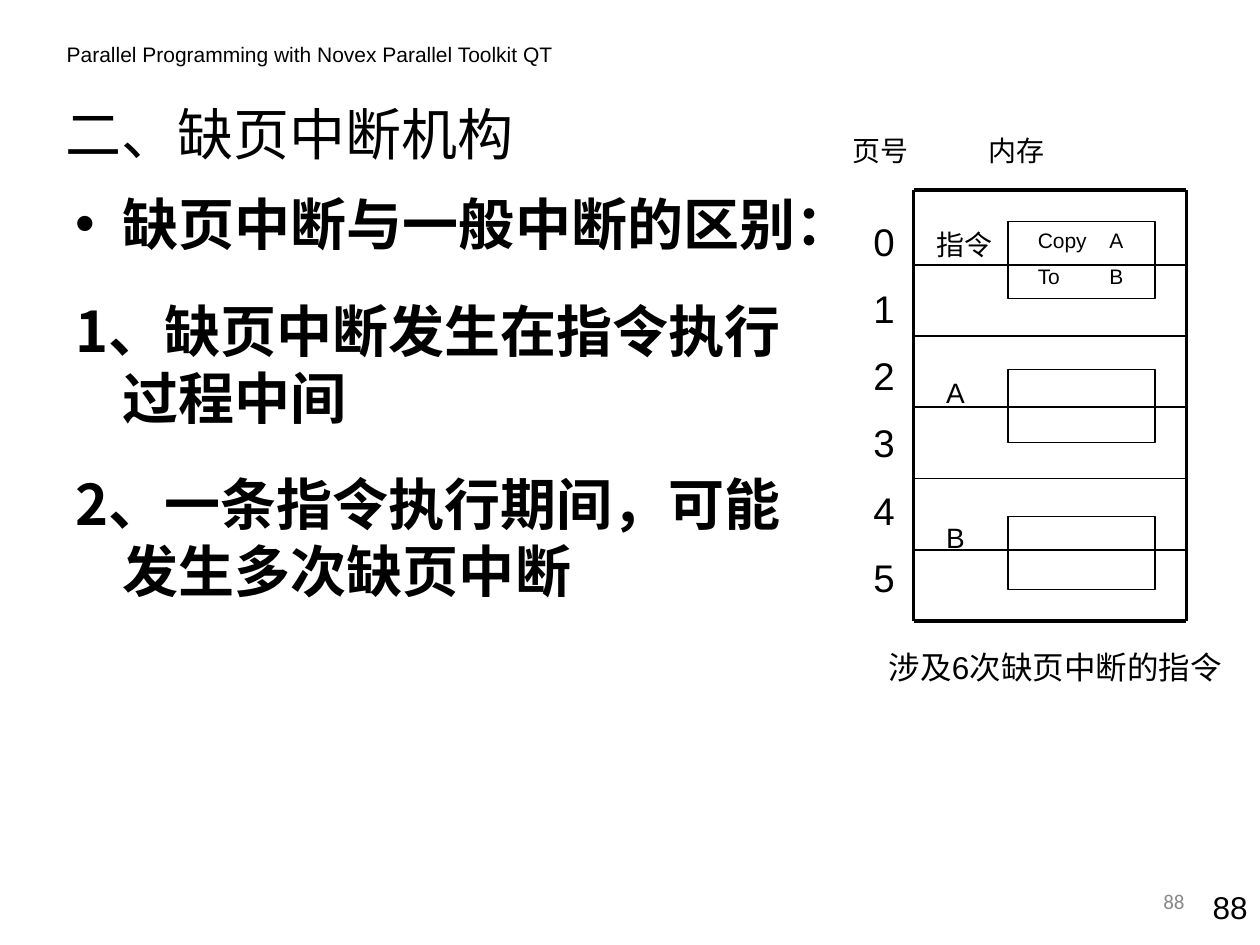
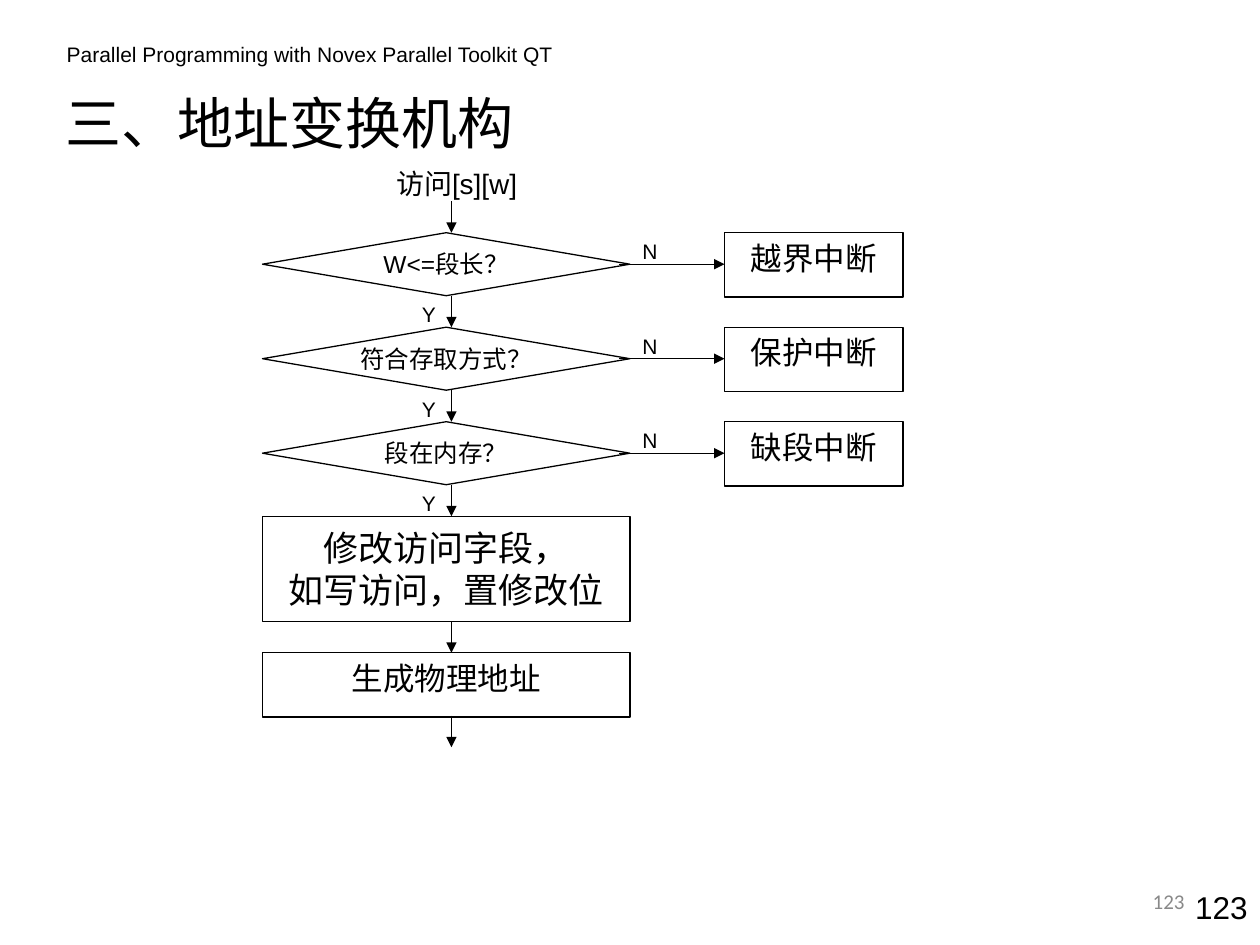
"""Build two slides on page-fault handling and segment address translation."""
from lxml import etree
from pptx import Presentation
from pptx.dml.color import RGBColor
from pptx.enum.shapes import MSO_CONNECTOR, MSO_SHAPE
from pptx.enum.text import MSO_ANCHOR, MSO_AUTO_SIZE, PP_ALIGN
from pptx.oxml.ns import qn
from pptx.util import Pt

STRAIGHT = MSO_CONNECTOR.STRAIGHT
RECTANGLE, DIAMOND = MSO_SHAPE.RECTANGLE, MSO_SHAPE.DIAMOND
TOP, MIDDLE = MSO_ANCHOR.TOP, MSO_ANCHOR.MIDDLE
LEFT, CENTER, RIGHT = PP_ALIGN.LEFT, PP_ALIGN.CENTER, PP_ALIGN.RIGHT
NO_AUTOFIT = MSO_AUTO_SIZE.NONE

COLORS = {"ink": "000000", "muted": "898989"}
HEADING_FONT = "Noto Sans CJK SC"
HEADER_TEXT = "Parallel Programming with Novex Parallel Toolkit QT"


def add_block(slide, bounds, lines, size, align=LEFT, outline=None, anchor=TOP,
              insets=(7.2, 3.6), gap=0, tab=None, font="Arial", color="ink"):
    """Add a text box, or an outlined shape, holding one paragraph per line."""
    bounds = [Pt(value) for value in bounds]
    if outline is None:
        shape = slide.shapes.add_textbox(*bounds)
    else:
        shape = slide.shapes.add_shape(outline, *bounds)
        shape.shadow.inherit = False
        shape.fill.background()
        shape.line.color.rgb = RGBColor.from_string(COLORS["ink"])
        shape.line.width = Pt(0.75)
    side, edge = Pt(insets[0]), Pt(insets[1])
    frame_format = {"word_wrap": True, "vertical_anchor": anchor,
                    "margin_left": side, "margin_right": side,
                    "margin_top": edge, "margin_bottom": edge}
    for name, value in frame_format.items():
        setattr(shape.text_frame, name, value)
    for index, line in enumerate(lines):
        paragraph = shape.text_frame.paragraphs[0] if index == 0 else shape.text_frame.add_paragraph()
        paragraph.alignment = align
        if index and gap:
            paragraph.space_before = Pt(gap)
        if tab:
            tab_list = etree.SubElement(paragraph._p.get_or_add_pPr(), qn("a:tabLst"))
            etree.SubElement(tab_list, qn("a:tab"), pos=str(Pt(tab)), algn="l")
        run = paragraph.add_run()
        run.text = line
        for name, value in {"name": font, "size": Pt(size)}.items():
            setattr(run.font, name, value)
        run.font.color.rgb = RGBColor.from_string(COLORS[color])


def add_line(slide, start, end, width=0.75, arrow=False):
    """Add a straight line, with an arrowhead at its end if asked."""
    connector = slide.shapes.add_connector(STRAIGHT, *[Pt(value) for value in (*start, *end)])
    connector.line.color.rgb = RGBColor.from_string(COLORS["ink"])
    connector.line.width = Pt(width)
    if arrow:
        etree.SubElement(connector.line._get_or_add_ln(), qn("a:tailEnd"), type="triangle")
    etree.SubElement(connector._element.spPr, qn("a:effectLst"))


presentation = Presentation()
presentation.slide_width, presentation.slide_height = Pt(720), Pt(540)

slides = []
for layout, title, title_bounds, number, number_left in [
    (1, "二、缺页中断机构", (30, 49, 408, 54), "88", 672),
    (5, "三、地址变换机构", (30, 43, 642, 54), "123", 660),
]:
    slide = presentation.slides.add_slide(presentation.slide_layouts[layout])
    slides.append(slide)
    heading = slide.shapes.title
    for name, value in zip(("left", "top", "width", "height"), title_bounds):
        setattr(heading, name, Pt(value))
    heading.text_frame.text = title
    heading.text_frame.auto_size = NO_AUTOFIT
    heading.text_frame.vertical_anchor = MIDDLE
    paragraph = heading.text_frame.paragraphs[0]
    paragraph.alignment = LEFT
    for name, value in {"name": HEADING_FONT, "size": Pt(32)}.items():
        setattr(paragraph.runs[0].font, name, value)
    paragraph.runs[0].font.color.rgb = RGBColor.from_string(COLORS["ink"])
    add_block(slide, (31, 20, 300, 22), [HEADER_TEXT], 12)
    add_block(slide, (number_left, 504, 720 - number_left, 36), [number], 18, RIGHT)
    add_block(slide, (516, 500.4, 168, 28.8), [number], 12, RIGHT, anchor=MIDDLE,
              font="Calibri", color="muted")

fault_slide, address_slide = slides

body = fault_slide.placeholders[1]
for name, value in {"left": 36, "top": 105, "width": 432, "height": 324}.items():
    setattr(body, name, Pt(value))
body.text_frame.auto_size = NO_AUTOFIT
differences = [
    "缺页中断与一般中断的区别：",
    "1、缺页中断发生在指令执行过程中间",
    "2、一条指令执行期间，可能发生多次缺页中断",
]
for index, difference in enumerate(differences):
    paragraph = body.text_frame.paragraphs[0] if index == 0 else body.text_frame.add_paragraph()
    paragraph.space_before = Pt(22.4 if index else 0)
    paragraph.line_spacing = Pt(38.3)
    if index:
        etree.SubElement(paragraph._p.get_or_add_pPr(), qn("a:buNone"))
    run = paragraph.add_run()
    run.text = difference
    for name, value in {"name": HEADING_FONT, "size": Pt(32), "bold": True}.items():
        setattr(run.font, name, value)
    run.font.color.rgb = RGBColor.from_string(COLORS["ink"])

memory_left, memory_right, memory_top, memory_bottom = 522, 678, 108.7, 355
page_height = 40.75
for page in range(5):
    page_line = memory_bottom - (page + 1) * page_height
    add_line(fault_slide, (memory_left, page_line), (memory_right, page_line), 1)
for edge in (memory_top, memory_bottom):
    add_line(fault_slide, (memory_left, edge), (memory_right, edge), 2.25)
for side in (memory_left, memory_right):
    add_line(fault_slide, (side, memory_top), (side, memory_bottom), 2.25)

for operand_top in (211, 295):
    add_block(fault_slide, (576, operand_top, 84, 42), [], 12, outline=RECTANGLE)
add_block(fault_slide, (576, 126.7, 84, 44), ["Copy\tA", "To\tB"], 12,
          outline=RECTANGLE, insets=(17, 3.6), gap=6, tab=41)
add_block(fault_slide, (492, 121, 42, 232), [str(page) for page in range(6)], 22, gap=12)
add_block(fault_slide, (528, 126.7, 48, 26.6), ["指令"], 16)
for operand, operand_top in (("A", 211), ("B", 294)):
    add_block(fault_slide, (522, operand_top, 48, 26.6), [operand], 16, CENTER)
add_block(fault_slide, (504, 367, 198, 29), ["涉及6次缺页中断的指令"], 18, CENTER, insets=(0, 3.6))
add_block(fault_slide, (480, 73, 156, 26.6), ["页号\t内存"], 16, tab=78)

flow_left, flow_width, flow_axis = 150, 210, 258
first_check, check_pitch, check_height, arrow_length = 133, 54, 36, 18
interrupt_left = 414
add_block(address_slide, (210, 91.5, 102, 26.6), ["访问[s][w]"], 16, CENTER)
for row, (check, interrupt) in enumerate([
    ("W<=段长？", "越界中断"),
    ("符合存取方式？", "保护中断"),
    ("段在内存？", "缺段中断"),
]):
    top = first_check + row * check_pitch
    bottom, center = top + check_height, top + check_height / 2
    add_block(address_slide, (flow_left, top, flow_width, check_height), [check], 14, CENTER,
              outline=DIAMOND, anchor=MIDDLE, insets=(0, 0))
    add_block(address_slide, (interrupt_left, top, 102, 36.7), [interrupt], 18, CENTER,
              outline=RECTANGLE, insets=(0, 3.6))
    add_line(address_slide, (354, center), (interrupt_left, center), arrow=True)
    add_block(address_slide, (360, top, 24, 21.6), ["N"], 12)
    add_block(address_slide, (234, bottom, 24, 21.6), ["Y"], 12)

add_block(address_slide, (flow_left, 295, flow_width, 60), ["修改访问字段，", "如写访问，置修改位"],
          20, CENTER, outline=RECTANGLE, insets=(0, 5.8))
add_block(address_slide, (flow_left, 373, flow_width, 36.7), ["生成物理地址"], 18, CENTER,
          outline=RECTANGLE)
for arrow_top in (115, 169, 223, 277, 355, 409):
    add_line(address_slide, (flow_axis, arrow_top), (flow_axis, arrow_top + arrow_length), arrow=True)

presentation.save("out.pptx")
